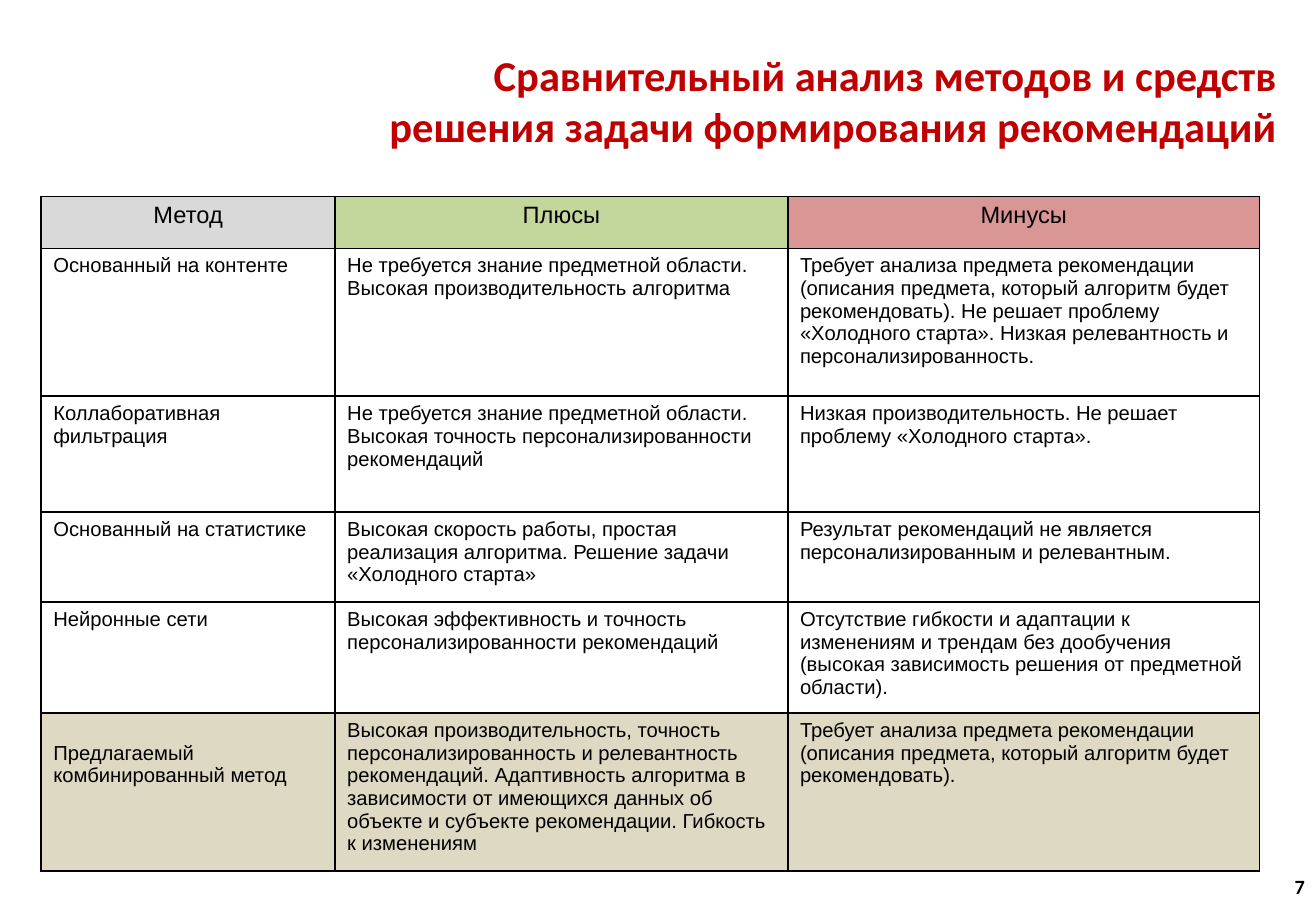
from lxml import etree
from pptx import Presentation
from pptx.dml.color import RGBColor
from pptx.enum.text import MSO_ANCHOR, PP_ALIGN
from pptx.oxml.ns import qn
from pptx.util import Pt

LEFT, MID, RIGHT = PP_ALIGN.LEFT, PP_ALIGN.CENTER, PP_ALIGN.RIGHT
CENTRE = MSO_ANCHOR.MIDDLE
BLACK, RED = "000000", "C00000"
GREY, GREEN, PINK, SAND = "D9D9D9", "C3D69B", "D99694", "DDD9C3"

HEADS = [("Метод", GREY), ("Плюсы", GREEN), ("Минусы", PINK)]
ROWS = [
    ("Основанный на контенте",
     "Не требуется знание предметной области. Высокая производительность алгоритма",
     "Требует анализа предмета рекомендации (описания предмета, который алгоритм "
     "будет рекомендовать). Не решает проблему «Холодного старта». Низкая "
     "релевантность и персонализированность."),
    ("Коллаборативная фильтрация",
     "Не требуется знание предметной области. Высокая точность "
     "персонализированности рекомендаций",
     "Низкая производительность. Не решает проблему «Холодного старта»."),
    ("Основанный на статистике",
     "Высокая скорость работы, простая реализация алгоритма. Решение задачи "
     "«Холодного старта»",
     "Результат рекомендаций не является персонализированным и релевантным."),
    ("Нейронные сети",
     "Высокая эффективность и точность персонализированности рекомендаций",
     "Отсутствие гибкости и адаптации к изменениям и трендам без дообучения "
     "(высокая зависимость решения от предметной области)."),
    ("Предлагаемый комбинированный метод",
     "Высокая производительность, точность персонализированность и релевантность "
     "рекомендаций. Адаптивность алгоритма в зависимости от имеющихся данных об "
     "объекте и субъекте рекомендации. Гибкость к изменениям",
     "Требует анализа предмета рекомендации (описания предмета, который алгоритм "
     "будет рекомендовать)."),
]
WIDTHS = [174.2, 268.4, 279.7]
HEIGHTS = [30.8, 87.7, 68.7, 53.3, 65.8, 87.7]


def color(code):
    return RGBColor.from_string(code)


class Deck:
    head, body = "Calibri", "Arial"

    def __init__(self, slide):
        self.slide = slide

    def add_text(self, frame, text, size, face, tone=BLACK, bold=False, align=LEFT):
        para = frame.paragraphs[0]
        para.alignment = align
        run = para.add_run()
        run.text = text
        font = run.font
        font.name, font.size, font.bold = face, Pt(size), bold
        font.color.rgb = color(tone)

    def label(self, box, text, size, tone):
        frame = self.slide.shapes.add_textbox(*map(Pt, box)).text_frame
        frame.word_wrap = True
        frame.vertical_anchor = CENTRE
        self.add_text(frame, text, size, self.head, tone, True, RIGHT)

    def grid(self, left, top, widths, heights):
        table = self.slide.shapes.add_table(
            len(heights), len(widths), Pt(left), Pt(top),
            Pt(sum(widths)), Pt(sum(heights))).table
        table.first_row = table.horz_banding = False
        for col, width in zip(table.columns, widths):
            col.width = Pt(width)
        for row, height in zip(table.rows, heights):
            row.height = Pt(height)
        return table

    def cell(self, cell, text, size, fill=None, align=LEFT):
        props = cell._tc.get_or_add_tcPr()
        for side in ("lnL", "lnR", "lnT", "lnB"):
            line = etree.SubElement(props, qn("a:" + side), w=str(Pt(1)))
            solid = etree.SubElement(line, qn("a:solidFill"))
            etree.SubElement(solid, qn("a:srgbClr"), val=BLACK)
        if fill:
            cell.fill.solid()
            cell.fill.fore_color.rgb = color(fill)
        else:
            cell.fill.background()
        cell.margin_left = cell.margin_right = Pt(7.2)
        cell.margin_top = cell.margin_bottom = Pt(3.6)
        self.add_text(cell.text_frame, text, size, self.body, align=align)


def main():
    show = Presentation()
    show.slide_width, show.slide_height = Pt(780), Pt(540)
    deck = Deck(show.slides.add_slide(show.slide_layouts[6]))

    # Title
    deck.label((191.5, 9.4, 572.4, 99.4),
               "Сравнительный анализ методов и средств решения задачи "
               "формирования рекомендаций", 25.2, RED)

    # Comparison of methods
    table = deck.grid(24.4, 116.4, WIDTHS, HEIGHTS)
    for c, (text, fill) in enumerate(HEADS):
        deck.cell(table.cell(0, c), text, 14, fill, MID)
    for r, row in enumerate(ROWS, 1):
        fill = SAND if r == len(ROWS) else None
        for c, text in enumerate(row):
            deck.cell(table.cell(r, c), text, 12, fill)
    # The proposed method starts one line lower
    table.cell(len(ROWS), 0).margin_top = Pt(17)

    # Page number
    deck.label((598.3, 511.2, 182.2, 28.8), "7", 12, BLACK)

    show.save("out.pptx")


if __name__ == "__main__":
    main()
